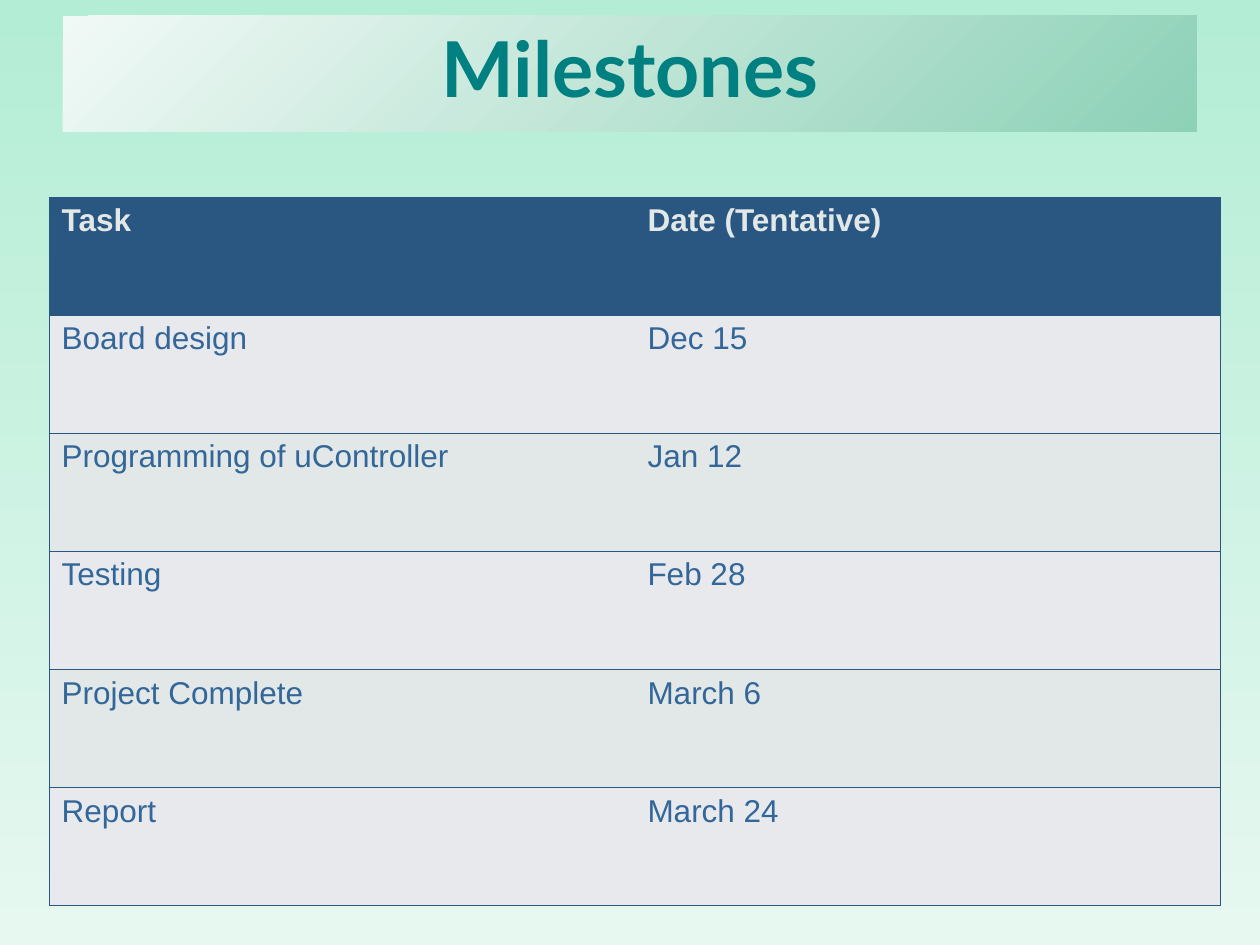
from dataclasses import dataclass

from lxml.etree import SubElement
from pptx import Presentation
from pptx.dml.color import RGBColor
from pptx.enum.shapes import MSO_SHAPE
from pptx.enum.text import MSO_ANCHOR, PP_ALIGN
from pptx.oxml.ns import qn
from pptx.util import Cm, Pt


@dataclass(frozen=True)
class Theme:
    background: tuple = ("B3EDD5", "E7F8F1")
    banner: tuple = ("F1F9F6", "8DD1B7")
    title: str = "008080"
    header_fill: str = "2A5682"
    header_text: str = "E2E8E7"
    body_text: str = "336699"
    bands: tuple = ("E8E9ED", "E2E8E7")
    border: str = "2A5682"
    border_width: int = Pt(0.45)
    title_font: str = "Lato"
    body_font: str = "Arial"
    title_size: int = Pt(44)
    body_size: int = Pt(18)


theme = Theme()


def set_gradient(fill, colors, angle):
    fill.gradient()
    fill.gradient_angle = angle
    for stop, color in zip(fill.gradient_stops, colors):
        stop.color.rgb = RGBColor.from_string(color)


def set_borders(cell, visible_edges):
    """Draw the visible edges and clear the others; lines come before the fill."""
    properties = cell._tc.get_or_add_tcPr()
    for index, edge in enumerate("LRTB"):
        line = SubElement(properties, qn(f"a:ln{edge}"), w=str(theme.border_width))
        if edge in visible_edges:
            solid = SubElement(line, qn("a:solidFill"))
            SubElement(solid, qn("a:srgbClr"), val=theme.border)
        else:
            SubElement(line, qn("a:noFill"))
        properties.insert(index, line)


# Slide and background
presentation = Presentation()
presentation.slide_width = Cm(25.4)
presentation.slide_height = Cm(19.05)
slide = presentation.slides.add_slide(presentation.slide_layouts[6])
set_gradient(slide.background.fill, theme.background, 270)

# Title banner
banner = slide.shapes.add_shape(
    MSO_SHAPE.RECTANGLE, Cm(1.27), Cm(0.32), Cm(22.86), Cm(2.34))
banner.shadow.inherit = False
banner.line.fill.background()
set_gradient(banner.fill, theme.banner, 315)
text_frame = banner.text_frame
text_frame.text = "Milestones"
text_frame.word_wrap = True
text_frame.vertical_anchor = MSO_ANCHOR.MIDDLE
text_frame.margin_left = text_frame.margin_right = Cm(0.1)
text_frame.margin_top = text_frame.margin_bottom = Cm(0.13)
paragraph = text_frame.paragraphs[0]
paragraph.alignment = PP_ALIGN.CENTER
paragraph.line_spacing = 0.85
font = paragraph.runs[0].font
font.name, font.size, font.bold = theme.title_font, theme.title_size, True
font.color.rgb = RGBColor.from_string(theme.title)

# Milestone table
milestones = [
    ("Task", "Date (Tentative)"),
    ("Board design", "Dec 15"),
    ("Programming of uController", "Jan 12"),
    ("Testing", "Feb 28"),
    ("Project Complete", "March 6"),
    ("Report", "March 24"),
]
table = slide.shapes.add_table(
    len(milestones), 2, Cm(0.99), Cm(3.97), Cm(23.62), Cm(14.28)).table

for row_index, row in enumerate(milestones):
    is_header = row_index == 0
    fill_color = theme.header_fill if is_header else theme.bands[(row_index - 1) % 2]
    text_color = theme.header_text if is_header else theme.body_text
    for column_index, text in enumerate(row):
        cell = table.cell(row_index, column_index)
        cell.fill.solid()
        cell.fill.fore_color.rgb = RGBColor.from_string(fill_color)
        set_borders(cell, "LTB" if column_index == 0 else "RTB")
        cell.text_frame.text = text
        font = cell.text_frame.paragraphs[0].runs[0].font
        font.name, font.size, font.bold = theme.body_font, theme.body_size, is_header
        font.color.rgb = RGBColor.from_string(text_color)

presentation.save("out.pptx")
